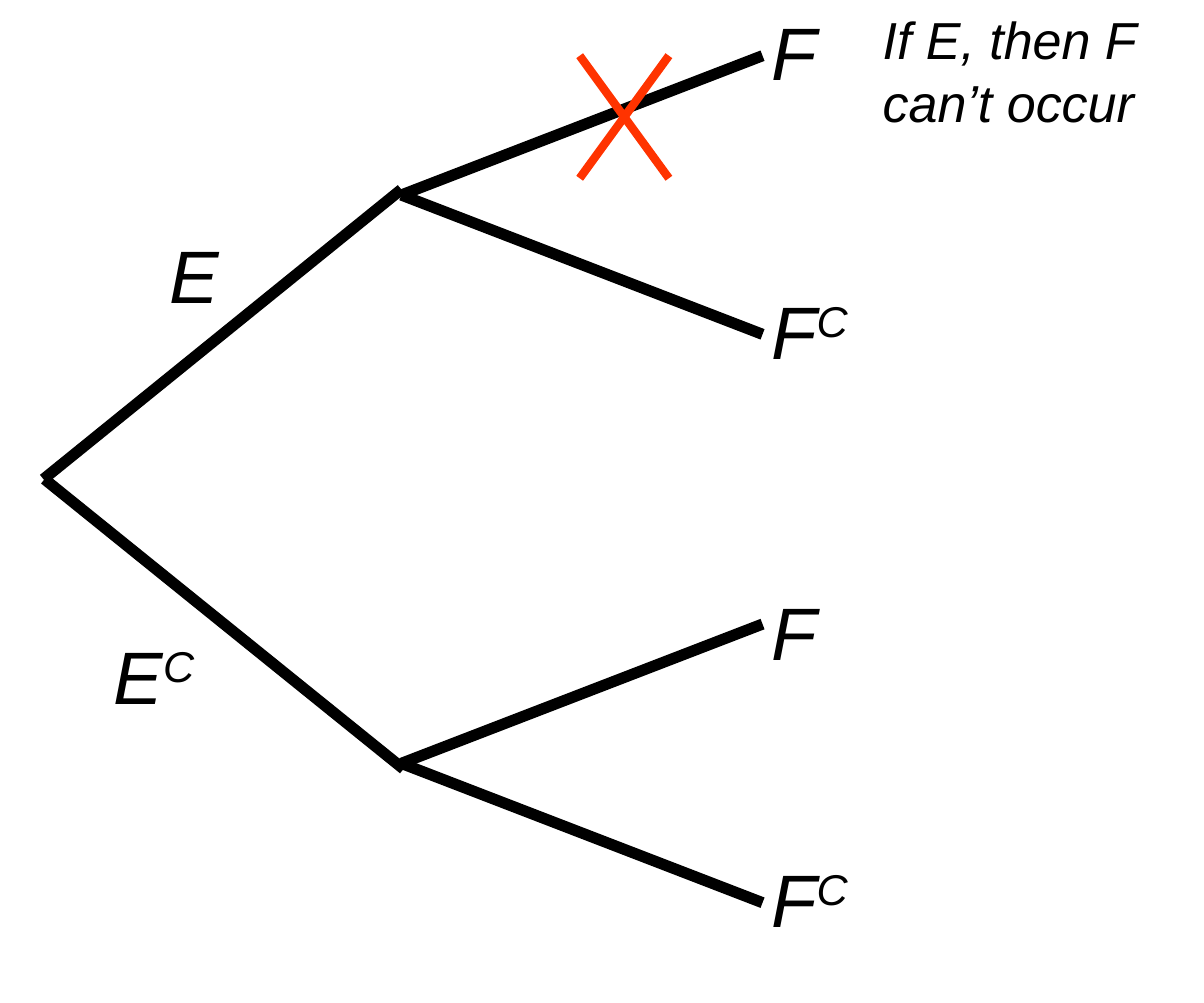
from pptx import Presentation
from pptx.dml.color import RGBColor
from pptx.enum.shapes import MSO_CONNECTOR
from pptx.enum.text import MSO_AUTO_SIZE
from pptx.oxml.ns import qn
from pptx.util import Inches, Pt
from lxml import etree

COLORS = {"ink": "000000", "cross": "FF3300"}
FONT = "Arial"

prs = Presentation()
prs.slide_width, prs.slide_height = Inches(9), Inches(7.5)
slide = prs.slides.add_slide(prs.slide_layouts[6])
column = prs.slide_width / 108
row = prs.slide_height / 90


def add_line(start, end, color, weight):
    line = slide.shapes.add_connector(
        MSO_CONNECTOR.STRAIGHT,
        round(start[0] * column), round(start[1] * row),
        round(end[0] * column), round(end[1] * row))
    line.line.color.rgb = RGBColor.from_string(COLORS[color])
    line.line.width = Pt(weight)
    etree.SubElement(line._element.spPr, qn("a:effectLst"))


def add_label(left, top, width, height, size, spacing, text, superscript=""):
    label = slide.shapes.add_textbox(
        round(left * column), round(top * row),
        round(width * column), round(height * row))
    frame = label.text_frame
    frame.word_wrap = True
    frame.auto_size = MSO_AUTO_SIZE.SHAPE_TO_FIT_TEXT
    paragraph = frame.paragraphs[0]
    paragraph.line_spacing = Pt(spacing)
    for wording, baseline in ((text, None), (superscript, "30000")):
        if wording:
            run = paragraph.add_run()
            run.text = wording
            run.font.name = FONT
            run.font.size = Pt(size)
            run.font.italic = True
            run.font.color.rgb = RGBColor.from_string(COLORS["ink"])
            if baseline:
                run.font._element.set("baseline", baseline)


add_line((3.9, 43), (36, 17), "ink", 6)
add_line((4, 43), (36.2, 69), "ink", 6)
for fork_row in (17.5, 68.5):
    for rise in (-12.5, 12.5):
        add_line((36, fork_row), (68.4, fork_row + rise), "ink", 6)

for top, bottom in ((5, 16), (16, 5)):
    add_line((52, top), (60, bottom), "cross", 4.5)

events = [
    (14, 20, "E", ""),
    (9, 56, "E", "C"),
    (68, 0, "F", ""),
    (68, 25, "F", "C"),
    (68, 52, "F", ""),
    (68, 76, "F", "C"),
]
for left, top, event, complement in events:
    add_label(left, top, 16.2, 9.25, 40, 48, event, complement)

add_label(78, 0, 30, 12.5, 28, 34, "If E, then F can’t occur")

prs.save("out.pptx")
